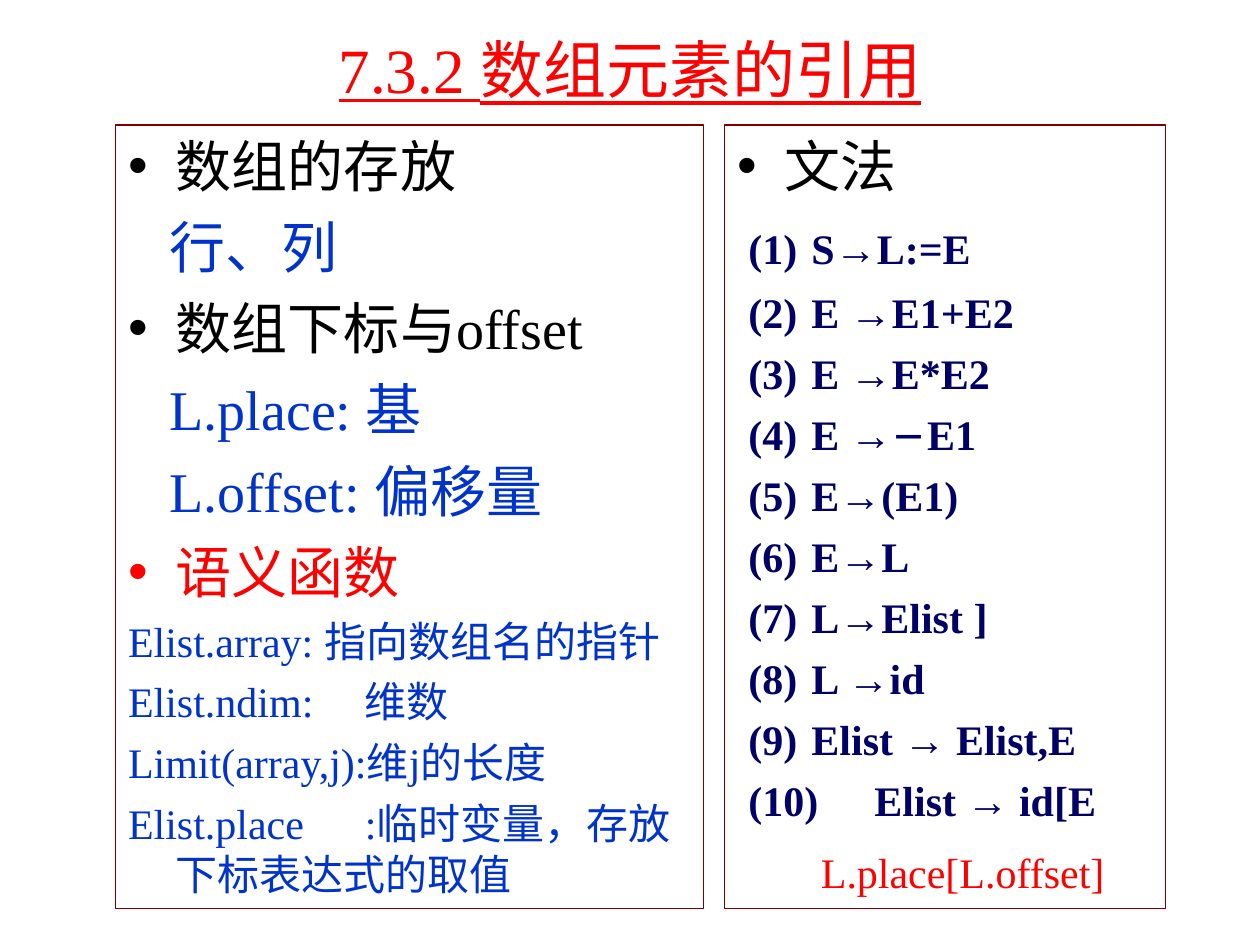
from lxml.etree import SubElement
from pptx import Presentation
from pptx.dml.color import RGBColor
from pptx.enum.text import MSO_ANCHOR, MSO_AUTO_SIZE, PP_ALIGN
from pptx.oxml.ns import qn
from pptx.util import Inches, Pt

BLACK, BLUE, NAVY, RED, MAROON = "000000", "0033CC", "000066", "FF0000", "800000"


def rgb(value):
    return RGBColor.from_string(value)


class Deck:
    """Style and current slide, placed on a grid of twelve cells to the inch."""

    font = "Times New Roman"
    cell = 1 / 12

    def __init__(self, prs, layout):
        self.slide = prs.slides.add_slide(prs.slide_layouts[layout])

    def box(self, at):
        return [Inches(n * self.cell) for n in at]

    def place(self, sp, at):
        sp.left, sp.top, sp.width, sp.height = self.box(at)
        tf = sp.text_frame
        tf.word_wrap, tf.auto_size = True, MSO_AUTO_SIZE.NONE
        return tf

    def style(self, p, size, color, bold=False, underline=False):
        for r in p.runs:
            f = r.font
            f.name, f.size, f.bold, f.underline = self.font, Pt(size), bold, underline
            f.color.rgb = rgb(color)

    def title(self, text, at):
        tf = self.place(self.slide.shapes.title, at)
        tf.text, tf.vertical_anchor = text, MSO_ANCHOR.MIDDLE
        tf.paragraphs[0].alignment = PP_ALIGN.CENTER
        self.style(tf.paragraphs[0], 36, RED, underline=True)

    def panel(self, idx, at):
        sp = self.slide.placeholders[idx]
        sp.line.color.rgb, sp.line.width = rgb(MAROON), Pt(0.75)
        return self.place(sp, at)

    def item(self, tf, parts, size, color, before, left=0.38, hang=0.38,
             bullet=False, tabs=(), bold=False):
        p = tf.paragraphs[0] if not tf.text else tf.add_paragraph()
        for part in parts:
            p.add_run().text = part
        p.space_before = Pt(before)
        self.style(p, size, color, bold)
        pPr = p._p.get_or_add_pPr()
        pPr.set("marL", str(Inches(left)))
        pPr.set("indent", str(-Inches(hang)))
        if bullet:
            buClr = SubElement(pPr, qn("a:buClr"))
            SubElement(buClr, qn("a:srgbClr"), val=color)
            SubElement(pPr, qn("a:buChar"), char="•")
        else:
            SubElement(pPr, qn("a:buNone"))
        if tabs:
            tabLst = SubElement(pPr, qn("a:tabLst"))
            for pos in tabs:
                SubElement(tabLst, qn("a:tab"), pos=str(Inches(pos)), algn="l")
        return p

    def label(self, text, at, size, color):
        tf = self.place(self.slide.shapes.add_textbox(*self.box(at)), at)
        tf.text = text
        self.style(tf.paragraphs[0], size, color)


prs = Presentation()
prs.slide_width, prs.slide_height = Inches(10), Inches(7.5)
deck = Deck(prs, 3)
deck.title("7.3.2 数组元素的引用", (9, 4, 102, 5))

storage = deck.panel(1, (11, 11.9, 56, 74.6))
topics = [
    ("数组的存放", BLACK, ["行、列"]),
    ("数组下标与offset", BLACK, ["L.place: 基", "L.offset: 偏移量"]),
    ("语义函数", RED, []),
]
for heading, color, details in topics:
    deck.item(storage, [heading], 32, color, 8, bullet=True)
    for detail in details:
        deck.item(storage, [detail], 32, BLUE, 8, left=0.33, hang=0)

functions = [
    "Elist.array: 指向数组名的指针",
    "Elist.ndim\t:\t维数",
    "Limit(array,j):维j的长度",
    "Elist.place\t:临时变量，存放下标表达式的取值",
]
for text in functions:
    deck.item(storage, [text], 24, BLUE, 6, tabs=(1.42, 1.92))

grammar = deck.panel(2, (69, 11.9, 42, 74.6))
deck.item(grammar, ["文法"], 32, BLACK, 8, bullet=True)
rules = [
    ["S→L:=E"], ["E →E1+E2"], ["E →E*E2"], ["E →", "－", "E1"], ["E→(E1)"],
    ["E→L"], ["L→Elist ]"], ["L →id"], ["Elist → Elist,E"], ["Elist → id[E"],
]
for number, rule in enumerate(rules, 1):
    p = deck.item(grammar, [f"({number})", "\t", *rule], 24, NAVY, 6,
                  left=0.09, hang=0, tabs=(0.63,), bold=True)
    for r in p.runs:
        if r.text == "－":
            r.font.size = Pt(20)
        elif r.text == "\t" and number == 1:
            r.font.size = Pt(32)

deck.label("L.place[L.offset]", (77, 80, 34, 6), 24, RED)
prs.save("out.pptx")
